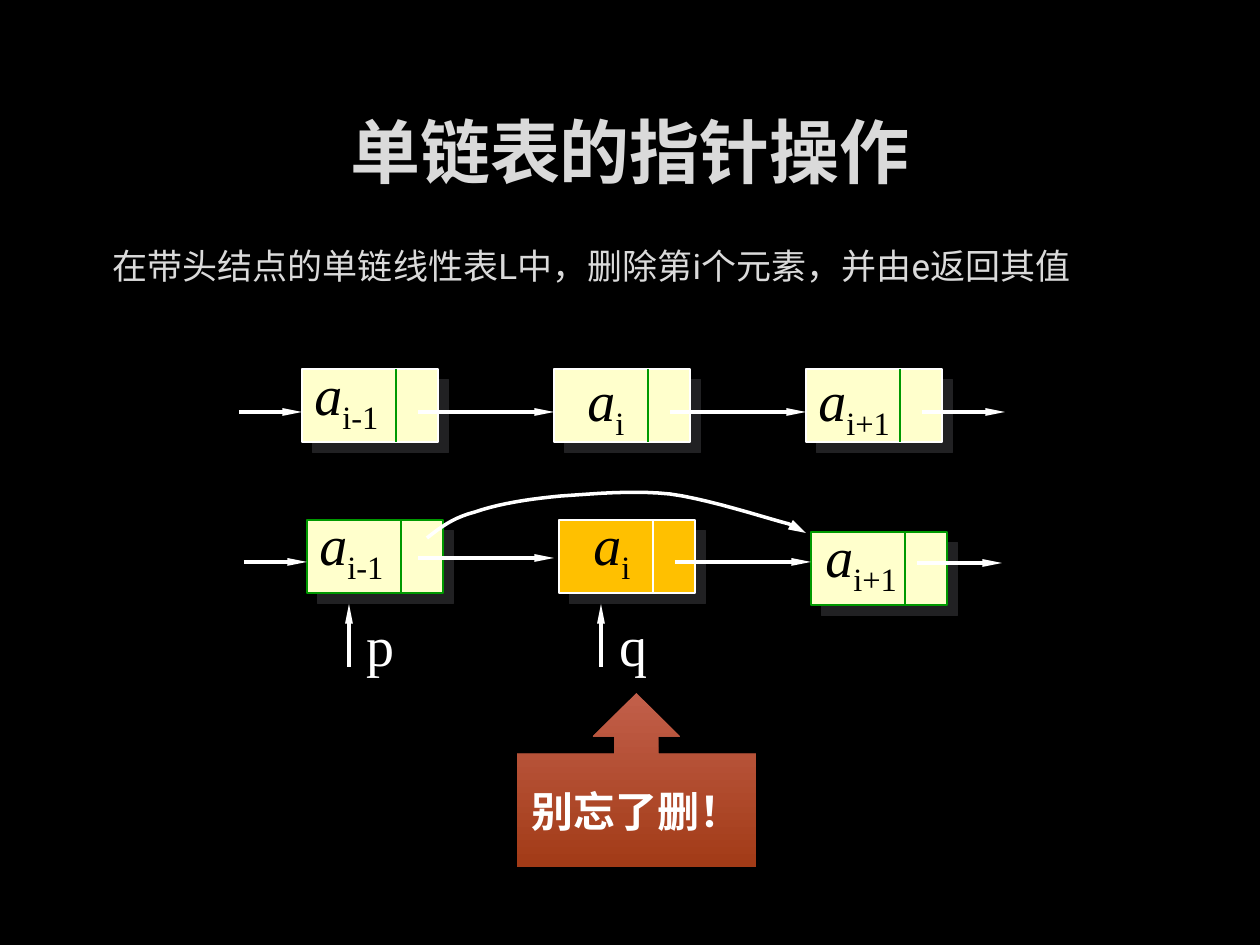
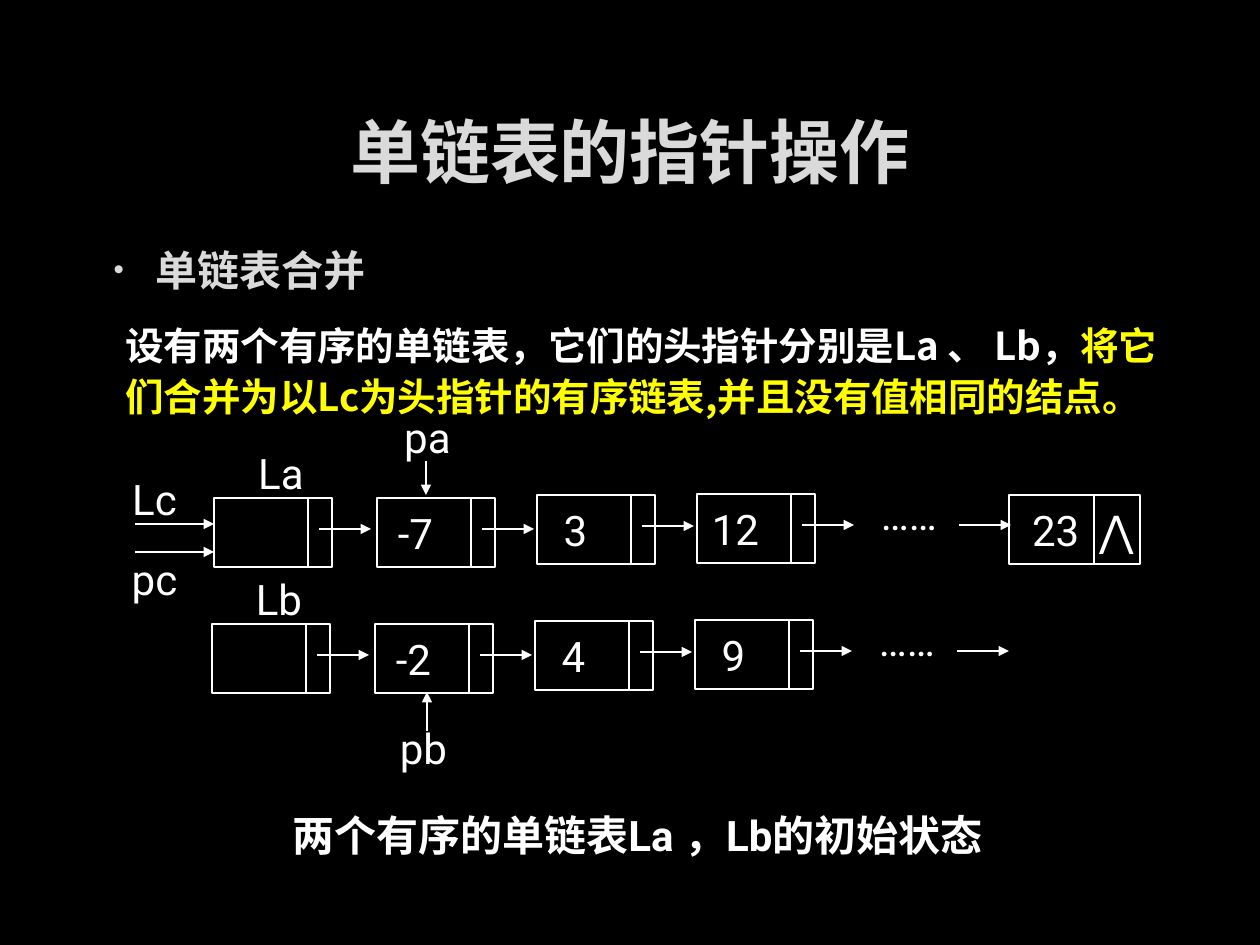
from dataclasses import dataclass

from lxml import etree
from pptx import Presentation
from pptx import util as u
from pptx.dml.color import RGBColor
from pptx.enum import shapes, text
from pptx.oxml.ns import qn

PX = u.Inches(1) // 126


@dataclass(frozen=True)
class Theme:
    background: str = "000000"
    heading: str = "DADADA"
    light: str = "FFFFFF"
    dark: str = "000000"
    accent: str = "FFFF00"
    node: str = "FFFFCC"
    removed: str = "FFC000"
    green: str = "009900"
    shadow: str = "212123"
    warning_top: str = "C25F4A"
    warning_bottom: str = "A23B17"
    cjk: str = "Noto Sans CJK SC"
    sans: str = "Roboto"
    serif: str = "Times New Roman"
    title_size: int = 40
    symbol_size: int = 32
    label_size: int = 24
    intro_size: int = 22
    body_size: int = 20


theme = Theme()
rgb = RGBColor.from_string


def write(shape, parts, size, font, colour, bold=False, align=text.PP_ALIGN.LEFT,
          anchor=text.MSO_ANCHOR.TOP, margins=None, wrap=False):
    """Fill the first paragraph with one run per part; margins are (left, right) in px."""
    frame = shape.text_frame
    frame.word_wrap = wrap
    frame.vertical_anchor = anchor
    if margins is not None:
        frame.margin_left, frame.margin_right = (side * PX for side in margins)
    paragraph = frame.paragraphs[0]
    paragraph.alignment = align
    paragraph.space_before = u.Pt(0)
    for part in parts:
        paragraph.add_run().text = part
    paragraph.font.size = u.Pt(size)
    paragraph.font.bold = bold
    paragraph.font.color.rgb = rgb(colour)
    paragraph.font.name = font
    etree.SubElement(paragraph.font._element, qn("a:ea"), typeface=theme.cjk)
    return paragraph


def stroke(shape, colour, width, head=None):
    """Style an outline, with an arrowhead of (width, length) if given; return its effect list."""
    shape.line.color.rgb = rgb(colour)
    shape.line.width = u.Pt(width)
    properties = shape.element.spPr
    if head:
        etree.SubElement(properties.find(qn("a:ln")), qn("a:tailEnd"),
                         type="triangle", w=head[0], len=head[1])
    return etree.SubElement(properties, qn("a:effectLst"))


CENTER, MIDDLE = text.PP_ALIGN.CENTER, text.MSO_ANCHOR.MIDDLE
RECTANGLE = shapes.MSO_SHAPE.RECTANGLE
STRAIGHT = shapes.MSO_CONNECTOR.STRAIGHT

prs = Presentation()
prs.slide_width, prs.slide_height = u.Inches(10), u.Inches(7.5)
backdrop = prs.slide_master.background.fill
backdrop.solid()
backdrop.fore_color.rgb = rgb(theme.background)

deletion, merging = (prs.slides.add_slide(prs.slide_layouts[1]) for _ in range(2))
for slide in (deletion, merging):
    title, body = slide.placeholders
    title.left, title.top, title.width, title.height = (n * PX for n in (95, 84, 1070, 134))
    body.left, body.top, body.width, body.height = (n * PX for n in (95, 238, 1070, 559))
    write(title, ["单链表的指针操作"], theme.title_size, theme.cjk, theme.heading,
          bold=True, align=CENTER, anchor=MIDDLE, wrap=True)

# Slide 1: deleting the i-th element
task = deletion.placeholders[1]
task_format = task.text_frame.paragraphs[0]._p.get_or_add_pPr()
task_format.set("marL", str(5 * PX))
task_format.set("indent", "0")
etree.SubElement(task_format, qn("a:buNone"))
write(task, ["在带头结点的单链线性表L中，删除第i个元素，并由e返回其值"],
      theme.body_size, theme.sans, theme.heading, wrap=True)

NODE_W, NODE_H, DIVIDER = 136, 73, 94
list_nodes = [  # left, top, fill, outline, divider colour
    *((302 + 252 * i, 369, theme.node, theme.light, theme.green) for i in range(3)),
    (307, 520, theme.node, theme.green, theme.green),
    (559, 520, theme.removed, theme.light, theme.light),
    (811, 532, theme.node, theme.green, theme.green),
]
for left, top, fill, outline, divider_colour in list_nodes:
    node = deletion.shapes.add_shape(RECTANGLE, left * PX, top * PX, NODE_W * PX, NODE_H * PX)
    node.fill.solid()
    node.fill.fore_color.rgb = rgb(fill)
    effects = stroke(node, outline, 0.75)
    shadow = etree.SubElement(effects, qn("a:outerShdw"), dist=str(u.Pt(8.5)),
                              dir="2700000", algn="ctr", rotWithShape="0")
    etree.SubElement(shadow, qn("a:srgbClr"), val=theme.shadow)
    x = (left + DIVIDER) * PX
    divider = deletion.shapes.add_connector(STRAIGHT, x, top * PX, x, (top + NODE_H) * PX)
    stroke(divider, divider_colour, 1.5)

pointers = [
    (239, 412, 302, 412), (418, 412, 554, 412), (670, 412, 806, 412), (922, 412, 1005, 412),
    (244, 562, 307, 562), (418, 558, 554, 558), (675, 562, 811, 562), (917, 563, 1002, 563),
    (349, 667, 349, 604), (601, 667, 601, 604),
]
for ends in pointers:
    pointer = deletion.shapes.add_connector(STRAIGHT, *(n * PX for n in ends))
    stroke(pointer, theme.light, 2.25, head=("sm", "lg"))

elements = [
    ("i-1", 302, 353, 96), ("i", 575, 359, 64), ("i+1", 806, 359, 105),
    ("i-1", 307, 503, 96), ("i", 581, 503, 64), ("i+1", 813, 515, 105),
]
for index, left, top, width in elements:
    element = deletion.shapes.add_textbox(left * PX, top * PX, width * PX, 80 * PX)
    symbol = write(element, ["a", index], theme.symbol_size, theme.serif, theme.dark)
    symbol.runs[0].font.italic = True
    symbol.runs[1].font._element.set("baseline", "-25000")

for name, left in (("p", 354), ("q", 607)):
    pointer_name = deletion.shapes.add_textbox(left * PX, 604 * PX, 57 * PX, 79 * PX)
    write(pointer_name, [name], theme.symbol_size, theme.serif, theme.light)

bypass_start = (427, 538)
bypass_curves = [
    ((440, 528), (452, 518), (475, 512)),
    ((498, 504), (528, 499), (561, 496)),
    ((592, 494), (631, 490), (670, 494)),
    ((708, 499), (766, 518), (789, 524)),
]
bypass_points = [bypass_start]
for curve in bypass_curves:
    corners = (bypass_points[-1], *curve)
    for step in range(1, 11):
        t = step / 10
        weights = ((1 - t) ** 3, 3 * t * (1 - t) ** 2, 3 * t * t * (1 - t), t ** 3)
        bypass_points.append(tuple(sum(w * corner[axis] for w, corner in zip(weights, corners))
                                   for axis in (0, 1)))
bypass_points.append((806, 533))
outline = deletion.shapes.build_freeform(bypass_start[0] * PX, bypass_start[1] * PX)
outline.add_line_segments([(x * PX, y * PX) for x, y in bypass_points[1:]], close=False)
bypass = outline.convert_to_shape()
bypass.fill.background()
stroke(bypass, theme.light, 2, head=("med", "lg"))

reminder = deletion.shapes.add_shape(shapes.MSO_SHAPE.UP_ARROW_CALLOUT,
                                     517 * PX, 693 * PX, 239 * PX, 174 * PX)
reminder.shadow.inherit = False
reminder.line.fill.background()
reminder.fill.gradient()
reminder.fill.gradient_angle = 270
for stop, colour in zip(reminder.fill.gradient_stops, (theme.warning_top, theme.warning_bottom)):
    stop.color.rgb = rgb(colour)
write(reminder, ["别忘了删！"], theme.label_size, theme.cjk, theme.light,
      bold=True, align=CENTER, anchor=MIDDLE, wrap=True)

# Slide 2: merging two ordered lists
topic = merging.placeholders[1]
topic_format = topic.text_frame.paragraphs[0]._p.get_or_add_pPr()
topic_format.set("marL", str(48 * PX))
topic_format.set("indent", str(-42 * PX))
bullet_colour = etree.SubElement(topic_format, qn("a:buClr"))
etree.SubElement(bullet_colour, qn("a:srgbClr"), val=theme.heading)
etree.SubElement(topic_format, qn("a:buSzPct"), val="70000")
etree.SubElement(topic_format, qn("a:buChar"), char="•")
write(topic, ["单链表合并"], theme.label_size, theme.cjk, theme.heading, bold=True, wrap=True)

intro = merging.shapes.add_textbox(113 * PX, 311 * PX, 1082 * PX, 116 * PX)
statement = write(intro, ["设有两个有序的单链表，它们的头指针分别是La 、 Lb，",
                          "将它们合并为以Lc为头指针的有序链表,并且没有值相同的结点。"],
                  theme.intro_size, theme.cjk, theme.light, bold=True, wrap=True)
statement.line_spacing = 1.1
statement.runs[1].font.color.rgb = rgb(theme.accent)

caption = merging.shapes.add_textbox(151 * PX, 804 * PX, 973 * PX, 62 * PX)
write(caption, ["两个有序的单链表La ，Lb的初始状态"], theme.label_size, theme.sans, theme.light,
      bold=True, align=CENTER, anchor=MIDDLE, wrap=True)

CELL_W, CELL_H = 118, 69
columns = [(214, 498), (377, 498), (537, 495), (697, 494)]
chains = [("La", 0, 0, ["", "-7", "3", "12"]), ("Lb", -2, 126, ["", "-2", "4", "9"])]
labels = [("Lc", 118, 472, 73, 53), ("pc", 118, 552, 73, 53),
          ("pa", 391, 407, 73, 59), ("pb", 387, 721, 73, 53)]
arrows = [(135, 524, 214, 524), (135, 552, 214, 552), (426, 461, 426, 495), (427, 731, 427, 692)]
dividers = [(1094, 495, 1094, 495 + CELL_H)]

for head, dx, dy, values in chains:
    labels += [(head, 223 + dx, 441 + dy, 116, 63), ("……", 850 + dx, 479 + dy, CELL_W, CELL_H)]
    for (column, row), value in zip(columns, values):
        left, top = column + dx, row + dy
        cell = merging.shapes.add_shape(RECTANGLE, left * PX, top * PX, CELL_W * PX, CELL_H * PX)
        cell.fill.background()
        stroke(cell, theme.light, 1)
        if value:
            write(cell, [value], theme.label_size, theme.sans, theme.light,
                  align=CENTER, anchor=MIDDLE, margins=(0, 41), wrap=True)
        dividers.append((left + DIVIDER, top, left + DIVIDER, top + CELL_H))
        arrows.append((left + 105, top + 31, left + 157, top + 31))
    arrows.append((959 + dx, 525 + dy, 1011 + dx, 525 + dy))

last = merging.shapes.add_shape(RECTANGLE, 1009 * PX, 495 * PX, 131 * PX, CELL_H * PX)
last.fill.background()
stroke(last, theme.light, 1)
last_format = last.text_frame.paragraphs[0]._p.get_or_add_pPr()
tabs = etree.SubElement(last_format, qn("a:tabLst"))
etree.SubElement(tabs, qn("a:tab"), pos=str(67 * PX), algn="l")
write(last, ["23\t⋀"], theme.label_size, theme.sans, theme.light,
      anchor=MIDDLE, margins=(23, 0), wrap=True)

for lines, arrowhead in ((dividers, None), (arrows, ("med", "med"))):
    for ends in lines:
        link = merging.shapes.add_connector(STRAIGHT, *(n * PX for n in ends))
        stroke(link, theme.light, 1, head=arrowhead)

for name, left, top, width, height in labels:
    label = merging.shapes.add_textbox(left * PX, top * PX, width * PX, height * PX)
    write(label, [name], theme.label_size, theme.sans, theme.light,
          align=CENTER, anchor=MIDDLE, margins=(0, 0))

prs.save("out.pptx")
